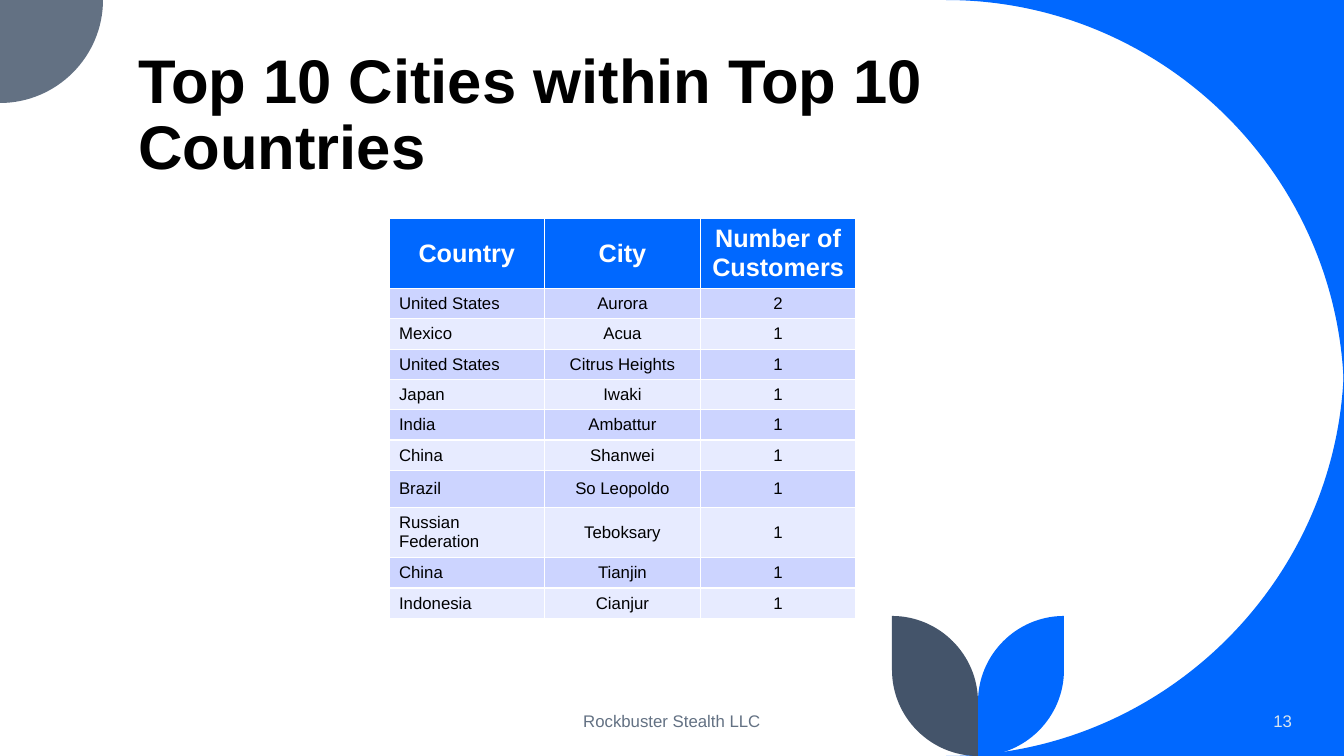
"""Build the slide listing the top ten cities within the top ten countries."""
import lxml.etree
import pptx
import pptx.dml.color
import pptx.enum.text
import pptx.oxml.ns
import pptx.util

TITLE = "Top 10 Cities within Top 10 Countries"
FOOTER = "Rockbuster Stealth LLC"
PAGE_NUMBER = "13"
HEADER = ("Country", "City", "Number of Customers")
CITIES = [
    ("United States", "Aurora", 2),
    ("Mexico", "Acua", 1),
    ("United States", "Citrus Heights", 1),
    ("Japan", "Iwaki", 1),
    ("India", "Ambattur", 1),
    ("China", "Shanwei", 1),
    ("Brazil", "So Leopoldo", 1),
    ("Russian Federation", "Teboksary", 1),
    ("China", "Tianjin", 1),
    ("Indonesia", "Cianjur", 1),
]
COLORS = {
    "blue": "0068FF", "slate": "637183", "navy": "44546A", "white": "FFFFFF",
    "black": "000000", "pale": "DAE5EF", "odd": "CCD4FF", "even": "E7EBFF",
}
FONT = "Arial"
WIDTH, HEIGHT = 1344, 756
HEADER_HEIGHT, ROW_HEIGHT = 60, 26
TALL_ROWS = {"Brazil": 37, "Russian Federation": 43}
TABLE_BOX = (389, 218, 467)
TITLE_BOX = (128, 42, 1078, 146)
FOOTER_BOX = (445, 701, 454, 40)
NUMBER_BOX = (1120, 701, 182, 40)
SWEEP, CORNER, LEAF, STEM = 398, 103, 86, 978
LEAF_TOP = 616
ROUNDNESS = 0.55
EMU_PER_PX = 914400 / 100.8

ALIGN = pptx.enum.text.PP_ALIGN
ANCHOR = pptx.enum.text.MSO_ANCHOR


def px(length):
    return pptx.util.Emu(round(length * EMU_PER_PX))


def color(name):
    return pptx.dml.color.RGBColor.from_string(COLORS[name])


def write(frame, text, size=12, ink="black", bold=False, align=ALIGN.LEFT, spacing=None):
    para = frame.paragraphs[0]
    para.alignment = align
    para.line_spacing = spacing
    span = para.add_run()
    span.text = text
    span.font.name = FONT
    span.font.size = pptx.util.Pt(size)
    span.font.bold = bold
    span.font.color.rgb = color(ink)


def quarter(start, corner, end):
    handles = [tuple(p + ROUNDNESS * (c - p) for p, c in zip(point, corner))
               for point in (start, end)]
    return handles + [end]


def add_outline(page, start, steps, fill):
    """Draw steps from start: one point is a line, three points are a curve."""
    points = [(px(x), px(y)) for step in steps for x, y in step]
    builder = page.shapes.build_freeform(px(start[0]), px(start[1]), scale=1.0)
    builder.add_line_segments(points, close=True)
    shape = builder.convert_to_shape()
    lines = iter(list(shape._element.iter(pptx.oxml.ns.qn("a:lnTo"))))
    for step in steps:
        first, *others = [next(lines) for _ in step]
        if others:
            curve = lxml.etree.Element(pptx.oxml.ns.qn("a:cubicBezTo"))
            first.addprevious(curve)
            for line in (first, *others):
                curve.append(line[0])
                line.getparent().remove(line)
    shape.shadow.inherit = False
    shape.fill.solid()
    shape.fill.fore_color.rgb = color(fill)
    shape.line.fill.background()


def add_decoration(page):
    left, right, bottom = WIDTH - SWEEP, (WIDTH, SWEEP), (WIDTH, HEIGHT)
    add_outline(page, (WIDTH, 0),
                [[(left, 0)], quarter((left, 0), (WIDTH, 0), right)], "blue")
    right = (WIDTH, HEIGHT - SWEEP)
    add_outline(page, right,
                [quarter(right, bottom, (left, HEIGHT)), [bottom]], "blue")
    add_outline(page, (0, 0),
                [[(CORNER, 0)], quarter((CORNER, 0), (CORNER, CORNER), (0, CORNER))], "slate")
    for side, fill in ((1, "blue"), (-1, "navy")):
        edge = STEM + side * LEAF
        tip, shoulder = (edge, LEAF_TOP), (edge, HEIGHT - LEAF)
        root, waist = (STEM, HEIGHT), (STEM, LEAF_TOP + LEAF)
        add_outline(page, tip,
                    [[shoulder], quarter(shoulder, (edge, HEIGHT), root),
                     [waist], quarter(waist, (STEM, LEAF_TOP), tip)], fill)


def add_label(page, place, text, **style):
    box = page.shapes.add_textbox(*map(px, place))
    box.text_frame.word_wrap = True
    box.text_frame.vertical_anchor = ANCHOR.MIDDLE
    write(box.text_frame, text, **style)


def add_city_table(page):
    rows = [HEADER] + CITIES
    heights = [HEADER_HEIGHT] + [TALL_ROWS.get(city[0], ROW_HEIGHT) for city in CITIES]
    left, top, width = TABLE_BOX
    table = page.shapes.add_table(len(rows), len(HEADER), px(left), px(top),
                                  px(width), px(sum(heights))).table
    for column in table.columns:
        column.width = px(width / len(HEADER))
    for r, values in enumerate(rows):
        table.rows[r].height = px(heights[r])
        heading = r == 0
        band = "blue" if heading else "odd" if r % 2 else "even"
        for c, value in enumerate(values):
            cell = table.cell(r, c)
            cell.vertical_anchor = ANCHOR.MIDDLE
            cell.fill.solid()
            cell.fill.fore_color.rgb = color(band)
            write(cell.text_frame, str(value), size=18 if heading else 12,
                  ink="white" if heading else "black", bold=heading,
                  align=ALIGN.CENTER if heading or c else ALIGN.LEFT)


def main():
    deck = pptx.Presentation()
    deck.slide_width, deck.slide_height = px(WIDTH), px(HEIGHT)
    page = deck.slides.add_slide(deck.slide_layouts[5])
    add_decoration(page)
    title = page.shapes.title
    title.left, title.top, title.width, title.height = map(px, TITLE_BOX)
    title.text_frame.auto_size = pptx.enum.text.MSO_AUTO_SIZE.NONE
    title.text_frame.word_wrap = True
    title.text_frame.vertical_anchor = ANCHOR.BOTTOM
    write(title.text_frame, TITLE, size=44, bold=True, spacing=0.9)
    add_label(page, FOOTER_BOX, FOOTER, ink="slate", align=ALIGN.CENTER)
    add_label(page, NUMBER_BOX, PAGE_NUMBER, ink="pale", align=ALIGN.RIGHT)
    add_city_table(page)
    deck.save("out.pptx")


if __name__ == "__main__":
    main()
